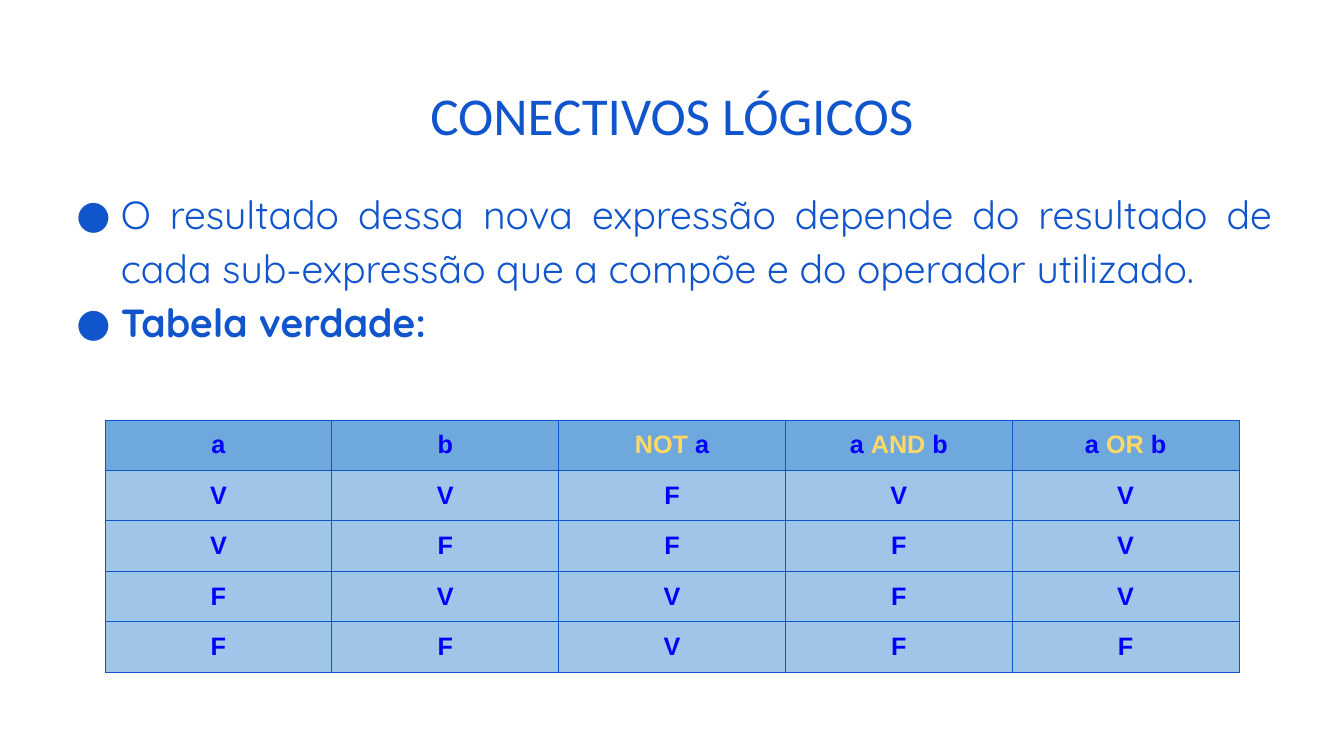
import pptx
import pptx.util
import pptx.dml.color
import pptx.enum.text
import pptx.oxml

Pt = pptx.util.Pt
RGB = pptx.dml.color.RGBColor.from_string
ALIGN = pptx.enum.text.PP_ALIGN
ANCHOR = pptx.enum.text.MSO_ANCHOR
NS = 'xmlns:a="http://schemas.openxmlformats.org/drawingml/2006/main"'

theme = {
    "blue": "1155CC",
    "header": "6FA8DC",
    "body": "9FC5E8",
    "title": {"name": "Calibri", "size": Pt(38), "bold": False},
    "bullet": {"name": "Quicksand", "size": Pt(28), "bold": False},
    "strong": {"name": "Quicksand", "size": Pt(28), "bold": True},
    "cell": {"name": "Arial", "size": Pt(18), "bold": True},
    "value": "0000FF",
    "operator": "FFD966",
}


def add_run(p, text, style, color):
    r = p.add_run()
    r.text = text
    for key, val in theme[style].items():
        setattr(r.font, key, val)
    r.font.color.rgb = RGB(theme[color])


def add_box(s, left, top, width, height, anchor):
    tf = s.shapes.add_textbox(Pt(left), Pt(top), Pt(width), Pt(height)).text_frame
    tf.word_wrap = True
    tf.vertical_anchor = anchor
    return tf


prs = pptx.Presentation()
prs.slide_width, prs.slide_height = Pt(960), Pt(540)
s = prs.slides.add_slide(prs.slide_layouts[6])

p = add_box(s, 0, 51, 960, 57.5, ANCHOR.BOTTOM).paragraphs[0]
p.alignment = ALIGN.CENTER
p.line_spacing = 0.9
add_run(p, "CONECTIVOS LÓGICOS", "title", "blue")

bullets = [
    ("O resultado dessa nova expressão depende do resultado de cada "
     "sub-expressão que a compõe e do operador utilizado.", "bullet"),
    ("Tabela verdade:", "strong"),
]
tf = add_box(s, 43.2, 127.5, 872.6, 262, ANCHOR.TOP)
for i, (text, style) in enumerate(bullets):
    p = tf.add_paragraph() if i else tf.paragraphs[0]
    pPr = p._p.get_or_add_pPr()
    pPr.set("marL", str(Pt(36)))
    pPr.set("indent", str(Pt(-31.7)))
    for xml in (f'<a:buClr {NS}><a:srgbClr val="{theme["blue"]}"/></a:buClr>',
                f'<a:buFont {NS} typeface="{theme[style]["name"]}"/>',
                f'<a:buChar {NS} char="●"/>'):
        pPr.append(pptx.oxml.parse_xml(xml))
    p.alignment = ALIGN.JUSTIFY
    p.line_spacing = 1.15
    add_run(p, text, style, "blue")

operators = {"NOT ", "AND ", "OR "}
rows = [
    [["a"], ["b"], ["NOT ", "a"], ["a ", "AND ", "b"], ["a ", "OR ", "b"]],
    "VVFVV",
    "VFFFV",
    "FVVFV",
    "FFVFF",
]
table = s.shapes.add_table(5, 5, Pt(75), Pt(300), Pt(810), Pt(172.5)).table
cell_format = {"vertical_anchor": ANCHOR.MIDDLE}
for side in ("left", "right", "top", "bottom"):
    cell_format[f"margin_{side}"] = Pt(7.2)

for i, row in enumerate(rows):
    for j, parts in enumerate(row):
        cell = table.cell(i, j)
        for key, val in cell_format.items():
            setattr(cell, key, val)
        tcPr = cell._tc.get_or_add_tcPr()
        for edge in "LRTB":
            tcPr.append(pptx.oxml.parse_xml(
                f'<a:ln{edge} {NS} w="{Pt(0.75)}"><a:solidFill>'
                f'<a:srgbClr val="{theme["blue"]}"/></a:solidFill></a:ln{edge}>'))
        cell.fill.solid()
        cell.fill.fore_color.rgb = RGB(theme["body" if i else "header"])
        p = cell.text_frame.paragraphs[0]
        p.alignment = ALIGN.CENTER
        for part in parts:
            add_run(p, part, "cell", "operator" if part in operators else "value")

prs.save("out.pptx")
